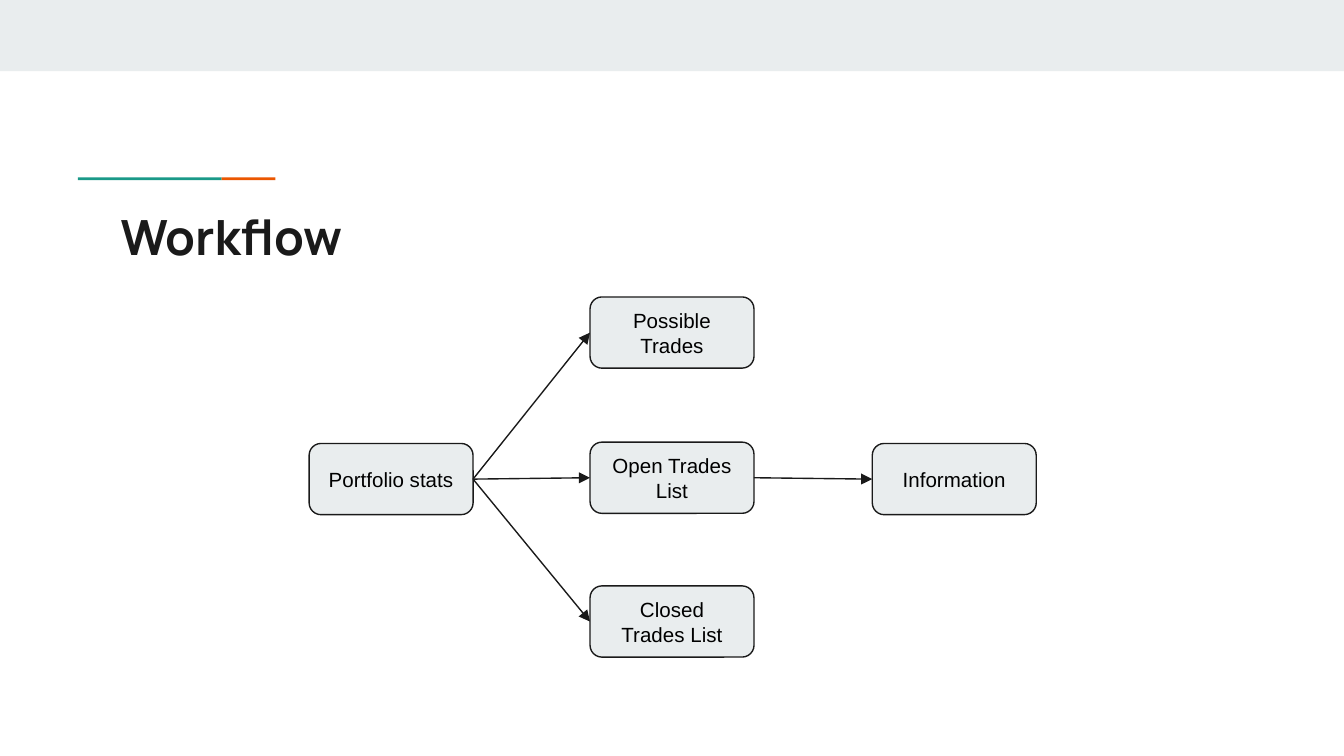
import pptx
import pptx.util
import pptx.dml.color
import pptx.enum.shapes
import pptx.enum.text
import pptx.oxml.ns
import lxml.etree
from pptx.util import Inches

RGBColor = pptx.dml.color.RGBColor
PALE_GREY = RGBColor(0xE9, 0xED, 0xEE)
INK = RGBColor(0x1A, 0x1A, 0x1A)
BLACK = RGBColor(0, 0, 0)
TEAL = RGBColor(0x1A, 0x99, 0x88)
ORANGE = RGBColor(0xEB, 0x56, 0x00)

SHAPES = pptx.enum.shapes.MSO_SHAPE
BOX_WIDTH, BOX_HEIGHT = 1.22, 0.53
LEFT_SITE, RIGHT_SITE = 1, 3

presentation = pptx.Presentation()
presentation.slide_width = Inches(10)
presentation.slide_height = Inches(10 * 9 / 16)
slide = presentation.slides.add_slide(presentation.slide_layouts[6])


def add_filled_shape(kind, left, top, width, height, color):
    shape = slide.shapes.add_shape(
        kind, Inches(left), Inches(top), Inches(width), Inches(height))
    shape.shadow.inherit = False
    shape.fill.solid()
    shape.fill.fore_color.rgb = color
    shape.line.fill.background()
    return shape


def write_text(shape, text, font_name, size, color, bold=False):
    text_frame = shape.text_frame
    text_frame.word_wrap = True
    text_frame.margin_left = text_frame.margin_right = Inches(0.1)
    text_frame.margin_top = text_frame.margin_bottom = Inches(0.1)
    text_frame.text = text
    font = text_frame.paragraphs[0].runs[0].font
    font.name = font_name
    font.size = pptx.util.Pt(size)
    font.bold = bold
    font.color.rgb = color


# Header band and two-colour accent line
add_filled_shape(SHAPES.RECTANGLE, 0, 0, 10, 0.53, PALE_GREY)
add_filled_shape(SHAPES.RECTANGLE, 0.58, 1.32, 1.07, 0.02, TEAL)
add_filled_shape(SHAPES.RECTANGLE, 1.65, 1.32, 0.4, 0.02, ORANGE)

title = slide.shapes.add_textbox(Inches(0.8), Inches(1.44), Inches(8.41), Inches(0.59))
write_text(title, "Workflow", "Manrope", 26, INK, bold=True)

# Workflow boxes
box_positions = {
    "Portfolio stats": (2.3, 3.3),
    "Possible Trades": (4.39, 2.21),
    "Open Trades List": (4.39, 3.29),
    "Closed Trades List": (4.39, 4.36),
    "Information": (6.49, 3.3),
}
boxes = {}
for label, (left, top) in box_positions.items():
    box = add_filled_shape(
        SHAPES.ROUNDED_RECTANGLE, left, top, BOX_WIDTH, BOX_HEIGHT, PALE_GREY)
    box.line.color.rgb = INK
    box.line.width = pptx.util.Pt(0.75)
    write_text(box, label, "Arial", 11, BLACK)
    box.text_frame.vertical_anchor = pptx.enum.text.MSO_ANCHOR.MIDDLE
    box.text_frame.paragraphs[0].alignment = pptx.enum.text.PP_ALIGN.CENTER
    boxes[label] = box

# Arrows between the boxes
links = [
    ("Portfolio stats", "Possible Trades"),
    ("Portfolio stats", "Open Trades List"),
    ("Portfolio stats", "Closed Trades List"),
    ("Open Trades List", "Information"),
]
for source, target in links:
    arrow = slide.shapes.add_connector(
        pptx.enum.shapes.MSO_CONNECTOR.STRAIGHT, 0, 0, 0, 0)
    arrow.begin_connect(boxes[source], RIGHT_SITE)
    arrow.end_connect(boxes[target], LEFT_SITE)
    arrow.line.color.rgb = INK
    arrow.line.width = pptx.util.Pt(0.75)
    line = arrow.line._get_or_add_ln()
    lxml.etree.SubElement(line, pptx.oxml.ns.qn("a:tailEnd"), type="triangle")
    lxml.etree.SubElement(line.getparent(), pptx.oxml.ns.qn("a:effectLst"))

presentation.save("out.pptx")
